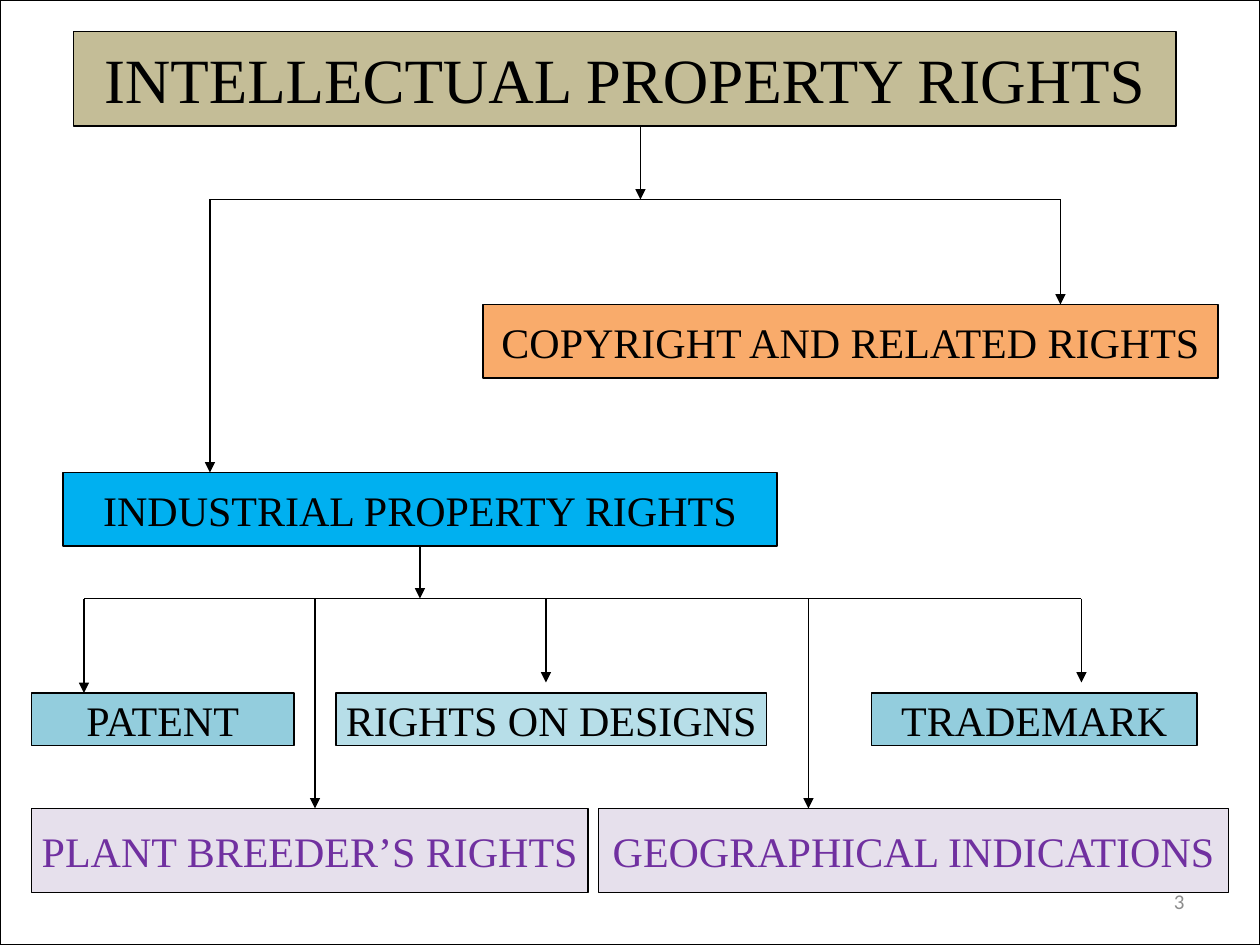
from dataclasses import dataclass

from lxml import etree
from pptx import Presentation
from pptx.dml.color import RGBColor
from pptx.enum import shapes, text
from pptx.oxml import ns
from pptx.util import Pt


@dataclass(frozen=True)
class Theme:
    font: str = "Times New Roman"
    number_font: str = "Calibri"
    title_size: int = 36
    box_size: int = 24
    number_size: int = 12
    line_width: float = 0.75
    black: str = "000000"
    white: str = "FFFFFF"
    purple: str = "7030A0"
    grey: str = "8C8C8C"
    tan: str = "C4BD97"
    orange: str = "F9AB6B"
    blue: str = "00B0F0"
    aqua: str = "93CDDD"
    pale_aqua: str = "B7DEE8"
    lilac: str = "E6E0EC"


class Chart:
    """Draws the tree on one slide; all lengths are in points."""

    def __init__(self, slide, theme):
        self.slide = slide
        self.theme = theme

    def set_text(self, sp, words, size, color, font, align):
        tf = sp.text_frame
        tf.vertical_anchor = text.MSO_ANCHOR.MIDDLE
        p = tf.paragraphs[0]
        p.text = words
        p.alignment = align
        p.font.name = font
        p.font.size = Pt(size)
        p.font.color.rgb = RGBColor.from_string(color)
        return tf

    def rect(self, x, y, w, h, fill):
        sp = self.slide.shapes.add_shape(
            shapes.MSO_SHAPE.RECTANGLE, Pt(x), Pt(y), Pt(w), Pt(h))
        sp.shadow.inherit = False
        sp.fill.solid()
        sp.fill.fore_color.rgb = RGBColor.from_string(fill)
        sp.line.color.rgb = RGBColor.from_string(self.theme.black)
        sp.line.width = Pt(self.theme.line_width)
        return sp

    def box(self, words, x, y, w, h, fill, size=None, color=None):
        t = self.theme
        sp = self.rect(x, y, w, h, fill)
        tf = self.set_text(sp, words, size or t.box_size, color or t.black,
                           t.font, text.PP_ALIGN.CENTER)
        tf.word_wrap = False
        return sp

    def line(self, x1, y1, x2, y2, arrow=False):
        cn = self.slide.shapes.add_connector(
            shapes.MSO_CONNECTOR.STRAIGHT, Pt(x1), Pt(y1), Pt(x2), Pt(y2))
        cn.line.color.rgb = RGBColor.from_string(self.theme.black)
        cn.line.width = Pt(self.theme.line_width)
        sp_pr = cn._element.spPr
        if arrow:
            etree.SubElement(sp_pr.find(ns.qn("a:ln")), ns.qn("a:tailEnd"),
                             type="triangle")
        etree.SubElement(sp_pr, ns.qn("a:effectLst"))
        return cn

    def branch(self, trunk_x, top, bus_y, drops):
        """Trunk arrow, horizontal bus, and an arrow down to each (x, y)."""
        trunk = self.line(trunk_x, top, trunk_x, bus_y, arrow=True)
        xs = [x for x, _ in drops]
        for end in (min(xs), max(xs)):
            self.line(trunk_x, bus_y, end, bus_y)
        for x, y in drops:
            self.line(x, bus_y, x, y, arrow=True)
        return trunk

    def number(self, words, x, y, w, h):
        t = self.theme
        sp = self.slide.shapes.add_textbox(Pt(x), Pt(y), Pt(w), Pt(h))
        tf = self.set_text(sp, words, t.number_size, t.grey, t.number_font,
                           text.PP_ALIGN.RIGHT)
        tf.word_wrap = True


def main():
    prs = Presentation()
    prs.slide_width, prs.slide_height = Pt(720), Pt(540)
    t = Theme()
    chart = Chart(prs.slides.add_slide(prs.slide_layouts[6]), t)

    chart.rect(0, 0, 720, 540, t.white)
    chart.box("INTELLECTUAL PROPERTY RIGHTS", 42, 18, 630, 54, t.tan,
              size=t.title_size)
    chart.box("COPYRIGHT AND RELATED RIGHTS", 276, 174, 420, 42, t.orange)
    industrial = chart.box("INDUSTRIAL PROPERTY RIGHTS", 36, 270, 408, 42,
                           t.blue)

    for words, x, w, fill in (
            ("PATENT", 18, 150, t.aqua),
            ("RIGHTS ON DESIGNS", 192, 246, t.pale_aqua),
            ("TRADEMARK", 498, 186, t.aqua)):
        chart.box(words, x, 396, w, 30, fill)
    for words, x, w in (
            ("PLANT BREEDER’S RIGHTS", 18, 318),
            ("GEOGRAPHICAL INDICATIONS", 342, 360)):
        chart.box(words, x, 462, w, 48, t.lilac, color=t.purple)

    chart.branch(366, 72, 114, [(120, 270), (606, 174)])
    trunk = chart.branch(240, 312, 342, [
        (48, 396), (180, 462), (312, 390), (462, 462), (618, 390)])
    trunk.begin_connect(industrial, 2)

    chart.number("3", 516, 500.5, 168, 28.75)
    prs.save("out.pptx")


if __name__ == "__main__":
    main()
